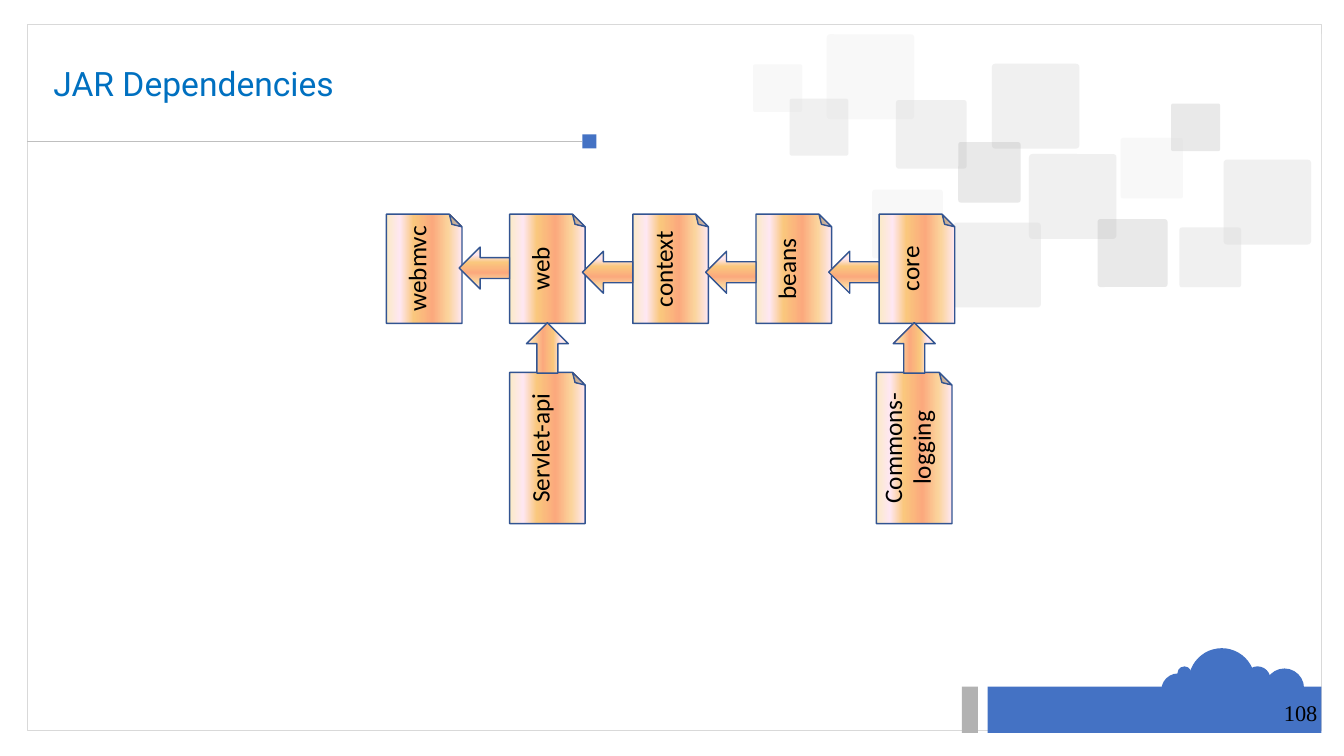
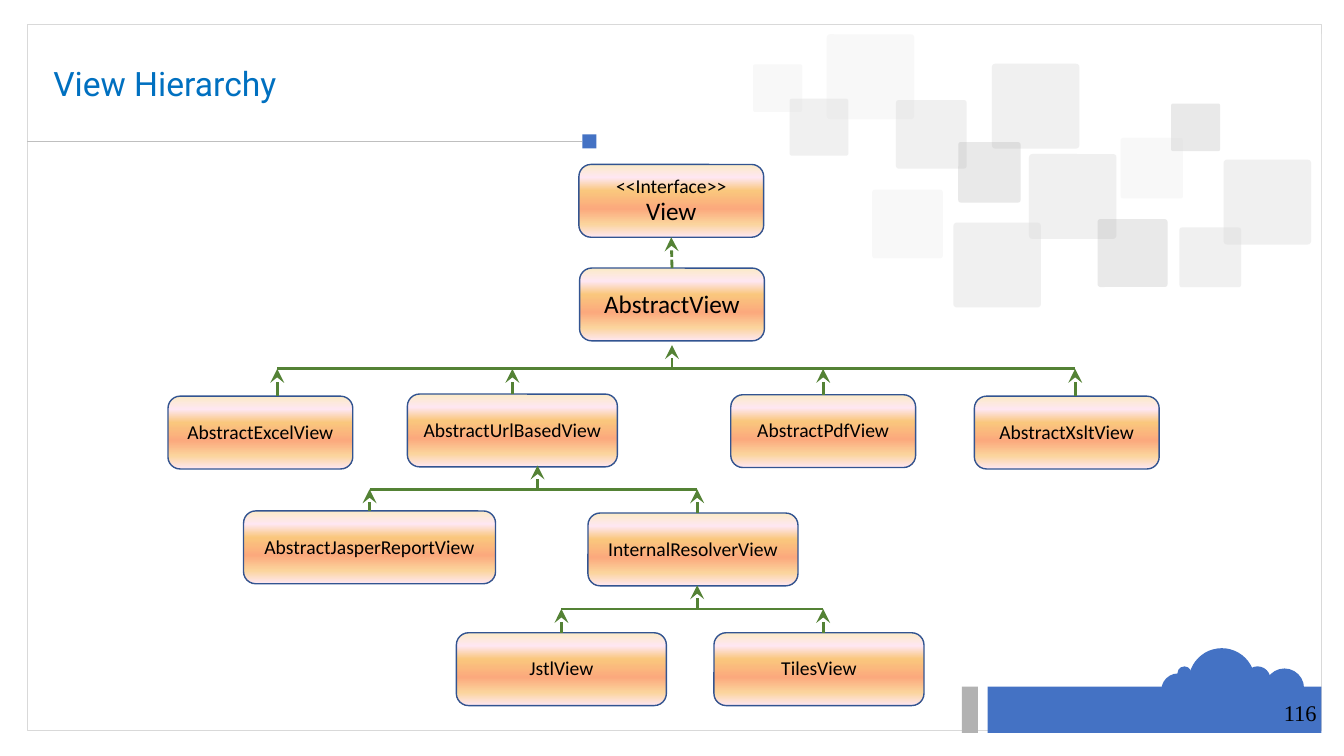
from lxml import etree
from pptx import Presentation
from pptx.dml.color import RGBColor
from pptx.enum.dml import MSO_LINE
from pptx.enum.shapes import MSO_CONNECTOR, MSO_SHAPE as SHAPE
from pptx.enum.text import MSO_ANCHOR, PP_ALIGN
from pptx.oxml.ns import qn
from pptx.util import Pt

WHITE = RGBColor(0xFF, 0xFF, 0xFF)
BLACK = RGBColor(0, 0, 0)
BLUE = RGBColor(0x44, 0x72, 0xC4)
TITLE_BLUE = RGBColor(0x00, 0x70, 0xC0)
OUTLINE = RGBColor(0x32, 0x54, 0x91)
GREEN = RGBColor(0x54, 0x82, 0x35)
GREY = RGBColor(0xB2, 0xB2, 0xB2)
RULE_GREY = RGBColor(0xBF, 0xBF, 0xBF)
FRAME_GREY = RGBColor(0xD9, 0xD9, 0xD9)
PEACH = [(0, "FBEAC7"), (18, "FEE7F2"), (36, "FAC77D"),
         (61, "FBA97D"), (82, "FBD49C"), (100, "FEE7F2")]

# left, top, width, colour, opacity in percent
TILES = [
    (590.5, 24.5, 62.5, GREY, 16), (708.5, 45.5, 62.5, GREY, 36),
    (681, 159, 62.5, GREY, 36), (735, 110, 62.5, GREY, 36),
    (640, 71.5, 50.5, GREY, 36), (623, 135.5, 50.5, GREY, 16),
    (684.5, 101.5, 44.5, BLACK, 16), (836.5, 74, 35, BLACK, 16),
    (800.5, 98.5, 44.5, GREY, 16), (784, 156.5, 50, BLACK, 16),
    (564, 70.5, 42, GREY, 35), (538, 46, 35, GREY, 16),
    (874, 114, 62.5, GREY, 36), (842.5, 162.5, 44, GREY, 36),
]
# left, top, diameter
CLOUD = [(849, 463, 47.5), (829.5, 481, 24), (889, 476, 18.5),
         (903.5, 477.5, 28), (841, 476, 10)]


class Deck:
    def __init__(self):
        self.prs = Presentation()
        self.prs.slide_width, self.prs.slide_height = Pt(960), Pt(540)
        self.s = None

    def add_slide(self, title, number):
        self.s = self.prs.slides.add_slide(self.prs.slide_layouts[6])
        self.backdrop()
        self.text(910, 496, 39, 27, number, "Times New Roman", 16, BLACK, wrap=False)
        self.text(31, 29, 896, 60, title, "Roboto", 24, TITLE_BLUE,
                  MSO_ANCHOR.MIDDLE)

    def backdrop(self):
        """Frame, title rule, tiles and cloud footer that every slide has."""
        frame = self.shape(SHAPE.RECTANGLE, 19.5, 17.5, 924.5, 504.5)
        frame.line.color.rgb, frame.line.width = FRAME_GREY, Pt(1)
        self.shape(SHAPE.RECTANGLE, 705.5, 490.5, 238.5, 33, BLUE)
        self.shape(SHAPE.RECTANGLE, 687, 490.5, 11.5, 33, GREY)
        self.line(19.5, 101, 416, 101, RULE_GREY, 0.5)
        self.shape(SHAPE.RECTANGLE, 416, 96, 10, 10, BLUE)
        for x, y, w, colour, opacity in TILES:
            tile = self.shape(SHAPE.ROUNDED_RECTANGLE, x, y, w, w * 0.97, colour, opacity)
            tile.adjustments[0] = 0.04
        self.shape(SHAPE.RECTANGLE, 512.5, 24, 431.5, 226, WHITE, 48)
        for x, y, d in CLOUD:
            self.shape(SHAPE.OVAL, x, y, d, d, BLUE)

    def shape(self, kind, x, y, w, h, fill=None, opacity=100):
        sp = self.s.shapes.add_shape(kind, Pt(x), Pt(y), Pt(w), Pt(h))
        sp.shadow.inherit = False
        sp.line.fill.background()
        if fill is None:
            sp.fill.background()
            return sp
        sp.fill.solid()
        sp.fill.fore_color.rgb = fill
        if opacity < 100:
            clr = sp._element.spPr.find(qn("a:solidFill"))[0]
            etree.SubElement(clr, qn("a:alpha"), val=str(opacity * 1000))
        return sp

    def peach(self, kind, x, y, w, h, rotation=0):
        """Outlined shape with the peach gradient running top to bottom."""
        sp = self.shape(kind, x, y, w, h)
        sp.rotation = rotation
        sp.line.color.rgb, sp.line.width = OUTLINE, Pt(1)
        sp.fill.gradient()
        sp.fill.gradient_angle = 270
        stops = sp._element.spPr.find(qn("a:gradFill")).find(qn("a:gsLst"))
        for stop in list(stops):
            stops.remove(stop)
        for pos, colour in PEACH:
            stop = etree.SubElement(stops, qn("a:gs"), pos=str(pos * 1000))
            etree.SubElement(stop, qn("a:srgbClr"), val=colour)
        return sp

    def label(self, sp, *lines):
        """Centre (text, size) lines in a shape."""
        tf = sp.text_frame
        tf.word_wrap = True
        tf.vertical_anchor = MSO_ANCHOR.MIDDLE
        tf.text = "\n".join(text for text, _ in lines)
        for p, (_, size) in zip(tf.paragraphs, lines):
            p.alignment, p.line_spacing = PP_ALIGN.CENTER, 0.95
            self.style(p, "Calibri", size, BLACK)

    def style(self, p, font, size, colour):
        for r in p.runs:
            r.font.name, r.font.size = font, Pt(size)
            r.font.color.rgb = colour

    def text(self, x, y, w, h, text, font, size, colour,
             anchor=MSO_ANCHOR.TOP, wrap=True):
        tf = self.s.shapes.add_textbox(Pt(x), Pt(y), Pt(w), Pt(h)).text_frame
        tf.word_wrap, tf.vertical_anchor = wrap, anchor
        tf.text = text
        self.style(tf.paragraphs[0], font, size, colour)

    def line(self, x1, y1, x2, y2, colour=GREEN, width=2, arrow=False):
        c = self.s.shapes.add_connector(MSO_CONNECTOR.STRAIGHT,
                                        Pt(x1), Pt(y1), Pt(x2), Pt(y2))
        c.line.color.rgb, c.line.width = colour, Pt(width)
        if arrow:
            etree.SubElement(c.line._get_or_add_ln(), qn("a:tailEnd"),
                             type="stealth", w="lg", len="lg")
        etree.SubElement(c._element.spPr, qn("a:effectLst"))
        return c

    def jar(self, text, cx, cy, length):
        """Folded sheet standing on its side, so that its text reads upwards."""
        sp = self.peach(SHAPE.FOLDED_CORNER, cx - length / 2, cy - 27, length, 54, 270)
        self.label(sp, (text, 18))

    def block_arrow(self, cx, cy, rotation=0):
        self.peach(SHAPE.LEFT_ARROW, cx - 18, cy - 15, 36, 30, rotation)

    def view(self, x, y, w, *lines):
        sp = self.peach(SHAPE.ROUNDED_RECTANGLE, x, y, w, 52)
        self.label(sp, *lines)
        return sp

    def fork(self, parent_x, parent_y, bus_y, children):
        """Lines from (box, x) children up to a bar, and from the bar to the parent."""
        xs = [x for _, x in children]
        self.line(min(xs), bus_y, max(xs), bus_y)
        self.line(parent_x, bus_y, parent_x, parent_y, arrow=True)
        for box, x in children:
            c = self.line(x, box.top.pt, x, bus_y, arrow=True)
            if Pt(x) == box.left + box.width // 2:
                c.begin_connect(box, 0)


def jar_dependencies(deck):
    deck.add_slide("JAR Dependencies", "108")
    first_x, step, row_y = 303, 88, 192
    names = ["webmvc", "web", "context", "beans", "core"]
    columns = [first_x + i * step for i in range(len(names))]
    for name, cx in zip(names, columns):
        deck.jar(name, cx, row_y, 78)
    libraries = [("Servlet-api", columns[1]), ("Commons-logging", 653)]
    for name, cx in libraries:
        deck.jar(name, cx, 320, 108)
    for i, cx in enumerate(columns[1:]):
        deck.block_arrow(cx - 45, 191.5 if i == 0 else 194.5)
    for _, cx in libraries:
        deck.block_arrow(cx, 248.5, 90)


def view_hierarchy(deck):
    deck.add_slide("View Hierarchy", "116")
    interface = deck.view(413.5, 117.5, 132, ("<<Interface>>", 14), ("View", 18))
    abstract = deck.view(414, 191.5, 132, ("AbstractView", 18))
    excel = deck.view(120, 283, 132, ("AbstractExcelView", 14))
    url = deck.view(291, 281.5, 150, ("AbstractUrlBasedView", 14))
    pdf = deck.view(522, 282, 132, ("AbstractPdfView", 14))
    xslt = deck.view(696, 283, 132, ("AbstractXsltView", 14))
    jasper = deck.view(174, 365, 180, ("AbstractJasperReportView", 14))
    internal = deck.view(420, 366.5, 150, ("InternalResolverView", 14))
    jstl = deck.view(326, 452, 150, ("JstlView", 14))
    tiles = deck.view(510, 452, 150, ("TilesView", 14))

    realizes = deck.line(480, 191.5, 479.5, 169.5, arrow=True)
    realizes.line.dash_style = MSO_LINE.SQUARE_DOT
    realizes.begin_connect(abstract, 0)
    realizes.end_connect(interface, 2)
    deck.fork(480, 246.5, 263.5, [(excel, 198), (url, 366), (pdf, 588), (xslt, 768)])
    deck.fork(384, 332.5, 349.5, [(jasper, 264), (internal, 498)])
    deck.fork(498, 418, 435, [(jstl, 401), (tiles, 588)])


def main():
    deck = Deck()
    jar_dependencies(deck)
    view_hierarchy(deck)
    deck.prs.save("out.pptx")


if __name__ == "__main__":
    main()
